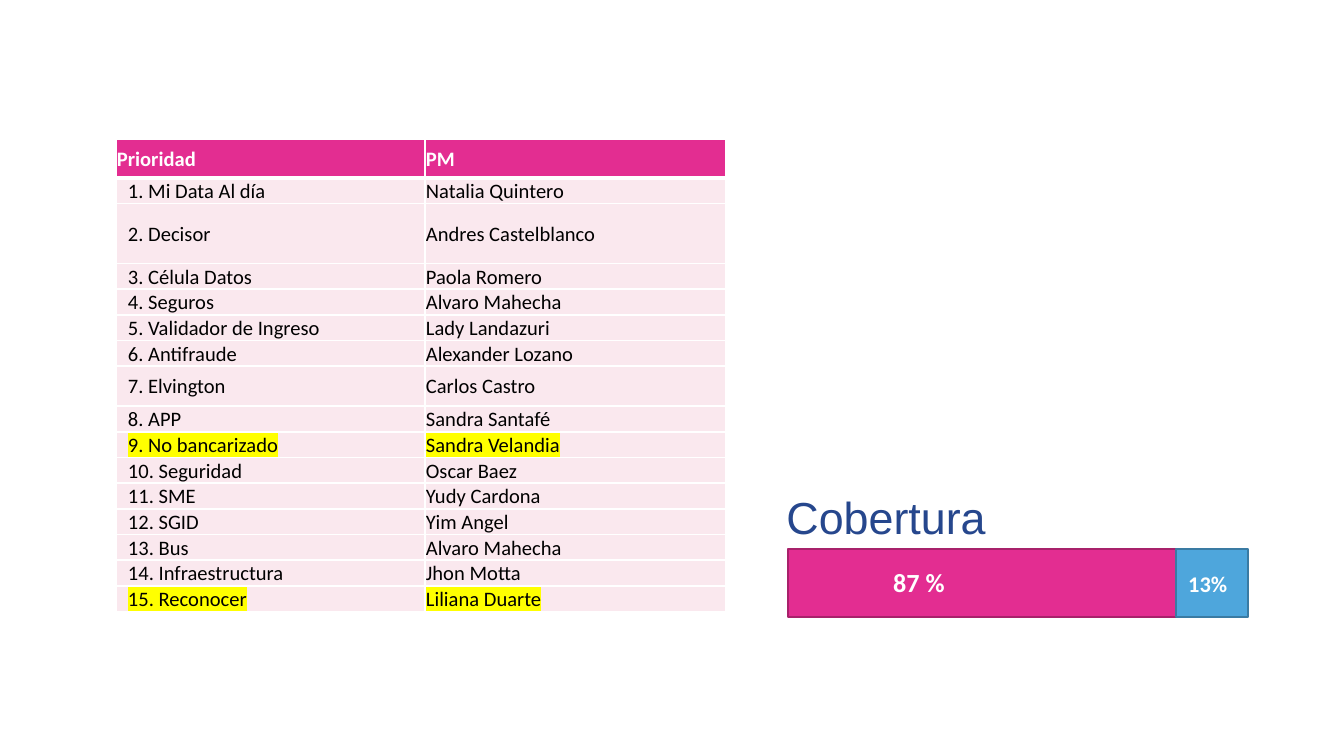
from lxml.etree import SubElement, Element
from pptx import Presentation
from pptx.dml.color import RGBColor
from pptx.enum.shapes import MSO_SHAPE as SHAPE
from pptx.enum.text import MSO_ANCHOR as ANCHOR, PP_ALIGN as ALIGN
from pptx.oxml.ns import qn
from pptx.util import Emu, Pt

PX = 914400 / 134.4
PINK, BLUE, PALE = "E32D91", "4EA6DC", "FAE8EE"
WHITE, BLACK, NAVY, YELLOW = "FFFFFF", "000000", "26478D", "FFFF00"

HEADER = ("Prioridad", "PM")
PROJECTS = [
    ("Mi Data Al día", "Natalia Quintero"),
    ("Decisor", "Andres Castelblanco"),
    ("Célula Datos", "Paola Romero"),
    ("Seguros", "Alvaro Mahecha"),
    ("Validador de Ingreso", "Lady Landazuri"),
    ("Antifraude", "Alexander Lozano"),
    ("Elvington", "Carlos Castro"),
    ("APP", "Sandra Santafé"),
    ("No bancarizado", "Sandra Velandia"),
    ("Seguridad", "Oscar Baez"),
    ("SME", "Yudy Cardona"),
    ("SGID", "Yim Angel"),
    ("Bus", "Alvaro Mahecha"),
    ("Infraestructura", "Jhon Motta"),
    ("Reconocer", "Liliana Duarte"),
]
HIGHLIGHTED = {9, 15}
ROW_HEIGHTS = {0: 39, 2: 60, 7: 40}
ROW_HEIGHT = 22


def px(n):
    return Emu(round(n * PX))


def rgb(color):
    return RGBColor.from_string(color)


class Deck:
    font = "Calibri"

    def __init__(self, width, height):
        self.prs = Presentation()
        self.prs.slide_width, self.prs.slide_height = px(width), px(height)
        self.s = self.prs.slides.add_slide(self.prs.slide_layouts[5])

    def set_text(self, tf, text, size, color, bold=False, font=None, highlight=None):
        tf.text = text
        p = tf.paragraphs[0]
        p.alignment = ALIGN.LEFT
        r = p.runs[0]
        r.font.size, r.font.bold, r.font.name = Pt(size), bold, font or self.font
        r.font.color.rgb = rgb(color)
        if highlight:
            mark = Element(qn("a:highlight"))
            SubElement(mark, qn("a:srgbClr"), val=highlight)
            r.font._element.find(qn("a:solidFill")).addnext(mark)
        return p

    def title(self, text, x, y, w, h):
        sp = self.s.shapes.title
        sp.left, sp.top, sp.width, sp.height = map(px, (x, y, w, h))
        tf = sp.text_frame
        tf.word_wrap, tf.vertical_anchor = True, ANCHOR.BOTTOM
        self.set_text(tf, text, 24, NAVY, font="Arial").line_spacing = 0.9

    def label(self, text, x, y, w, h, size):
        tf = self.s.shapes.add_textbox(*map(px, (x, y, w, h))).text_frame
        tf.word_wrap = True
        self.set_text(tf, text, size, WHITE, bold=True).line_spacing = 0.9

    def stacked_bar(self, x, y, h, parts):
        """Groups adjoining rectangles, each given as width, fill and line."""
        group = self.s.shapes.add_group_shape()
        for w, fill, line in parts:
            sp = group.shapes.add_shape(SHAPE.RECTANGLE, *map(px, (x, y, w, h)))
            sp.shadow.inherit = False
            sp.fill.solid()
            sp.fill.fore_color.rgb = rgb(fill)
            sp.line.color.rgb = rgb(line)
            sp.line.width = Pt(1)
            x += w

    def borders(self, cell, **widths):
        """Draws white borders of 1 pt, or of the points given per side."""
        tc_pr = cell._tc.get_or_add_tcPr()
        for side in "LRTB":
            ln = SubElement(tc_pr, qn(f"a:ln{side}"), w=str(Pt(widths.get(side, 1))))
            SubElement(SubElement(ln, qn("a:solidFill")), qn("a:srgbClr"), val=WHITE)

    def table(self, x, y, col_widths, rows):
        heights = [ROW_HEIGHTS.get(i, ROW_HEIGHT) for i in range(len(rows))]
        box = map(px, (x, y, sum(col_widths), sum(heights)))
        table = self.s.shapes.add_table(len(rows), len(col_widths), *box).table
        table.first_row = table.horz_banding = False
        for column, w in zip(table.columns, col_widths):
            column.width = px(w)
        for i, (row, h, texts) in enumerate(zip(table.rows, heights, rows)):
            row.height = px(h)
            for j, (cell, text) in enumerate(zip(row.cells, texts)):
                head = i == 0
                cell.margin_left = px(1 if head or j else 12)
                cell.margin_right = cell.margin_top = px(1)
                cell.margin_bottom = 0
                cell.vertical_anchor = ANCHOR.MIDDLE
                self.borders(cell, T=3 if i == 1 else 1, B=3 if head else 1)
                cell.fill.solid()
                cell.fill.fore_color.rgb = rgb(PINK if head else PALE)
                self.set_text(cell.text_frame, text, 11, WHITE if head else BLACK,
                              bold=head, highlight=YELLOW if i in HIGHLIGHTED else None)


def main():
    deck = Deck(1344, 756)
    deck.stacked_bar(788, 549, 68, [(388, PINK, "A8216B"), (72, BLUE, "3A7BA3")])
    deck.title("Cobertura", 773, 488, 242, 63)
    deck.label("87 %", 880, 563, 120, 46, 14)
    rows = [(f"{n}. {name}", pm) for n, (name, pm) in enumerate(PROJECTS, 1)]
    deck.table(116, 139, (309, 301), [HEADER] + rows)
    deck.label("13%", 1175, 567, 74, 40, 12)
    deck.prs.save("out.pptx")


if __name__ == "__main__":
    main()
